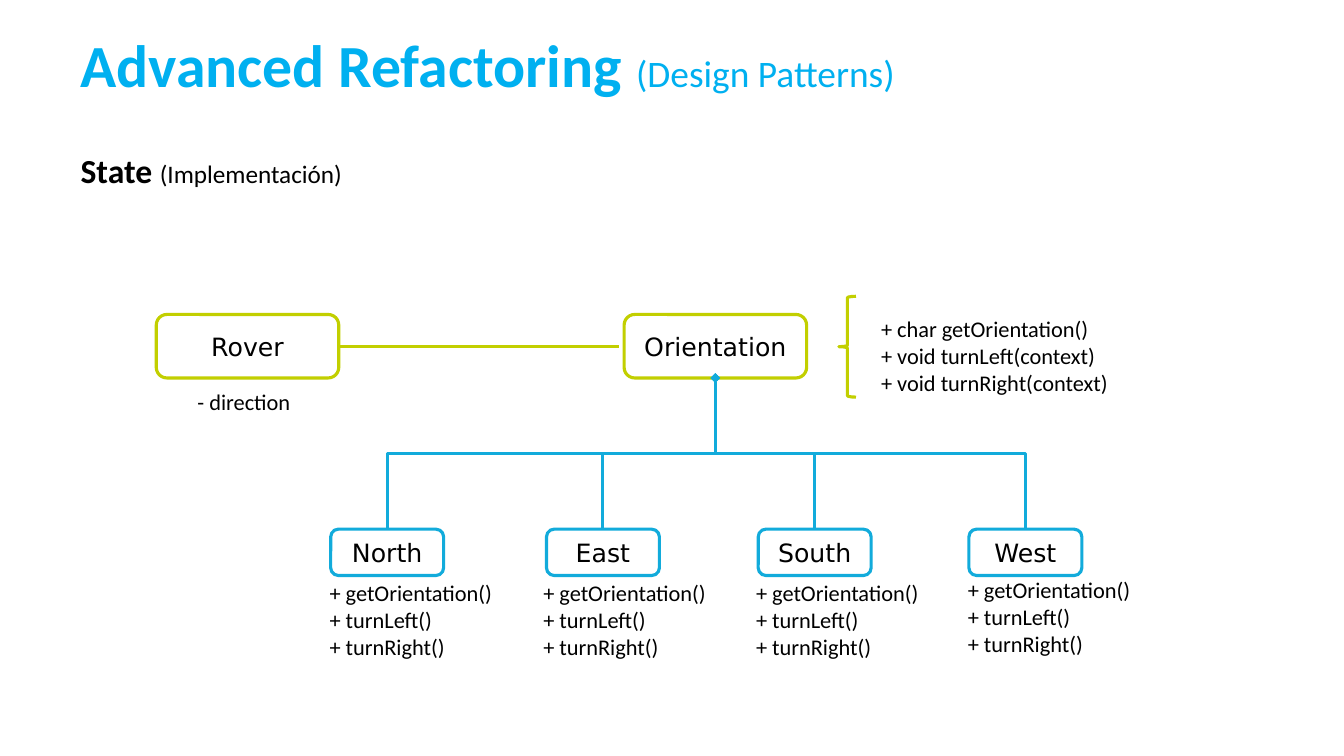
"""Build the slide that shows the State pattern as a class diagram."""
import dataclasses

import lxml.etree
import pptx
import pptx.dml.color
import pptx.enum.shapes
import pptx.enum.text
import pptx.oxml.ns
import pptx.util

EMU_PER_PX = 9144
LIME = pptx.dml.color.RGBColor(0xC2, 0xCF, 0x00)
BLUE = pptx.dml.color.RGBColor(0x12, 0xAB, 0xDB)
SKY = pptx.dml.color.RGBColor(0x00, 0xB0, 0xF0)
BLACK = pptx.dml.color.RGBColor(0x00, 0x00, 0x00)
WHITE = pptx.dml.color.RGBColor(0xFF, 0xFF, 0xFF)

ALIGN = pptx.enum.text.PP_ALIGN
MIDDLE = pptx.enum.text.MSO_ANCHOR.MIDDLE
SHAPE = pptx.enum.shapes.MSO_SHAPE
CONNECTOR = pptx.enum.shapes.MSO_CONNECTOR


@dataclasses.dataclass(frozen=True)
class Box:
    left: int
    top: int
    width: int
    height: int


@dataclasses.dataclass(frozen=True)
class ClassNode:
    name: str
    box: Box
    color: pptx.dml.color.RGBColor


@dataclasses.dataclass(frozen=True)
class Members:
    lines: tuple[str, ...]
    box: Box


@dataclasses.dataclass(frozen=True)
class Phrase:
    text: str
    size: float
    bold: bool


def px(length: float) -> pptx.util.Emu:
    return pptx.util.Emu(round(length * EMU_PER_PX))


def extent(box: Box) -> tuple[pptx.util.Emu, ...]:
    return tuple(px(length) for length in dataclasses.astuple(box))


def apply(target, values: dict) -> None:
    for attribute, value in values.items():
        setattr(target, attribute, value)


def style_font(font, name: str, size: float, color, bold: bool = False) -> None:
    apply(font, {"name": name, "size": pptx.util.Pt(size), "bold": bold})
    font.color.rgb = color


def style_line(line, color) -> None:
    line.color.rgb = color
    line.width = pptx.util.Pt(2.25)


def write_heading(frame, phrases: tuple[Phrase, ...], color, alignment) -> None:
    apply(frame, {
        "word_wrap": True,
        "auto_size": pptx.enum.text.MSO_AUTO_SIZE.NONE,
        "margin_left": px(13), "margin_right": px(13),
        "margin_top": px(7), "margin_bottom": px(7),
    })
    paragraph = frame.paragraphs[0]
    paragraph.alignment = alignment
    for phrase in phrases:
        run = paragraph.add_run()
        run.text = phrase.text
        style_font(run.font, "Calibri", phrase.size, color, phrase.bold)


def draw_outline(slide, kind, box: Box, color):
    outline = slide.shapes.add_shape(kind, *extent(box))
    outline.shadow.inherit = False
    style_line(outline.line, color)
    return outline


def draw_node(slide, node: ClassNode) -> None:
    outline = draw_outline(slide, SHAPE.ROUNDED_RECTANGLE, node.box, node.color)
    outline.fill.solid()
    outline.fill.fore_color.rgb = WHITE
    frame = outline.text_frame
    frame.vertical_anchor = MIDDLE
    label = frame.paragraphs[0]
    label.text = node.name
    label.alignment = ALIGN.CENTER
    style_font(label.font, "DejaVu Sans", 18, BLACK)


def draw_members(slide, members: Members) -> None:
    frame = slide.shapes.add_textbox(*extent(members.box)).text_frame
    frame.text = "\n".join(members.lines)
    apply(frame, {
        "word_wrap": False,
        "auto_size": pptx.enum.text.MSO_AUTO_SIZE.SHAPE_TO_FIT_TEXT,
    })
    for paragraph in frame.paragraphs:
        style_font(paragraph.font, "Calibri", 16, BLACK)


def draw_connector(slide, kind, ends: tuple[float, ...], color):
    connector = slide.shapes.add_connector(kind, *(px(end) for end in ends))
    style_line(connector.line, color)
    properties = connector.element.spPr
    lxml.etree.SubElement(properties, pptx.oxml.ns.qn("a:effectLst"))
    return connector


def draw_inheritance(slide, child: Box, parent: Box) -> None:
    child_x = child.left + child.width / 2
    parent_x = parent.left + parent.width / 2
    parent_bottom = parent.top + parent.height
    center_x = (child_x + parent_x) / 2
    center_y = (child.top + parent_bottom) / 2
    reach_x = child_x - center_x
    reach_y = child.top - center_y
    quarter_turned = (center_x + reach_y, center_y - reach_x,
                      center_x - reach_y, center_y + reach_x)
    connector = draw_connector(slide, CONNECTOR.ELBOW, quarter_turned, BLUE)
    connector.element.spPr.get_or_add_xfrm().set("rot", "5400000")
    outline = connector.line._get_or_add_ln()
    lxml.etree.SubElement(outline, pptx.oxml.ns.qn("a:tailEnd"), type="diamond")


ROVER = ClassNode("Rover", Box(155, 312, 181, 63), LIME)
ORIENTATION = ClassNode("Orientation", Box(619, 312, 181, 63), LIME)
STATES = tuple(
    ClassNode(name, Box(left, 525, 112, 46), BLUE)
    for name, left in (("North", 328), ("East", 542), ("South", 752), ("West", 961))
)
STATE_METHODS = ("+ getOrientation()", "+ turnLeft()", "+ turnRight()")
MEMBERS = (
    Members(("+ char getOrientation()", "+ void turnLeft(context)",
             "+ void turnRight(context)"), Box(864, 308, 245, 91)),
    Members(("- direction",), Box(186, 380, 112, 37)),
    *(Members(STATE_METHODS, Box(left, top, 181, 91))
      for left, top in ((317, 570), (529, 570), (740, 570), (950, 567))),
)
TITLE = (Phrase("Advanced Refactoring ", 42.7, True),
         Phrase("(Design Patterns)", 26.7, False))
SUBTITLE = (Phrase("State ", 24, True), Phrase("(Implementación)", 18, False))


def main() -> None:
    deck = pptx.Presentation()
    apply(deck, {"slide_width": px(1333), "slide_height": px(750)})
    slide = deck.slides.add_slide(deck.slide_layouts[5])

    title = slide.shapes.title
    apply(title, dict(zip(("left", "top", "width", "height"),
                          extent(Box(67, 30, 1200, 75)))))
    write_heading(title.text_frame, TITLE, SKY, ALIGN.LEFT)
    title.text_frame.vertical_anchor = MIDDLE
    title.text_frame.paragraphs[0].line_spacing = 0.9

    subtitle = slide.shapes.add_textbox(*extent(Box(67, 142, 1200, 100)))
    write_heading(subtitle.text_frame, SUBTITLE, BLACK, ALIGN.JUSTIFY)

    for node in (ROVER, ORIENTATION, *STATES):
        draw_node(slide, node)
    brace = draw_outline(slide, SHAPE.LEFT_BRACE, Box(832, 294, 17, 100), LIME)
    brace.fill.background()
    draw_connector(slide, CONNECTOR.STRAIGHT, (336, 344, 614, 344), LIME)
    for state in STATES:
        draw_inheritance(slide, state.box, ORIENTATION.box)
    for members in MEMBERS:
        draw_members(slide, members)

    deck.save("out.pptx")


if __name__ == "__main__":
    main()
